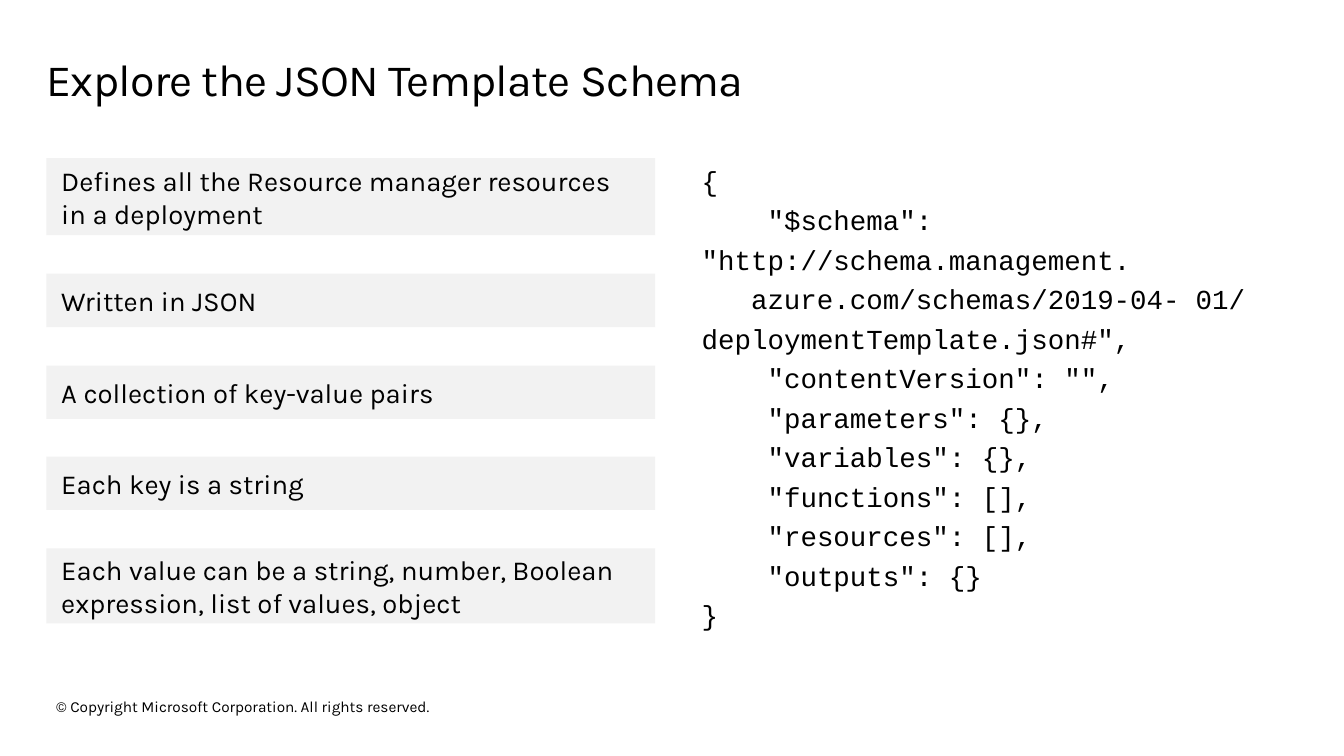
from pptx import Presentation
from pptx.dml.color import RGBColor
from pptx.enum.shapes import MSO_SHAPE
from pptx.enum.text import MSO_ANCHOR, MSO_AUTO_SIZE, PP_ALIGN
from pptx.util import Inches, Pt

TEXT_FONT, CODE_FONT = "Karla", "Courier New"
BLACK, WHITE, PALE_GREY = "000000", "FFFFFF", "F2F2F2"
LEFT = 0.47

# Statement, top and height of each bar
STATEMENTS = [
    ("Defines all the Resource manager resources in a deployment", 1.6, 0.78),
    ("Written in JSON", 2.77, 0.54),
    ("A collection of key-value pairs", 3.7, 0.54),
    ("Each key is a string", 4.62, 0.54),
    ("Each value can be a string, number, Boolean expression, list of values, object",
     5.55, 0.76),
]

# Tabs carry the long address over to the next line
SCHEMA_CODE = [
    '{',
    '    "$schema": \t"http://schema.management.',
    '\tazure.com/schemas/2019-04-\t01/deploymentTemplate.json#",',
    '    "contentVersion": "",',
    '    "parameters": {},',
    '    "variables": {},',
    '    "functions": [],',
    '    "resources": [],',
    '    "outputs": {}',
    '}',
]


def colour(value):
    return RGBColor.from_string(value)


def set_values(target, values):
    for name, value in values.items():
        setattr(target, name, value)


def write(box, lines, size, font=TEXT_FONT, spacing=1.0,
          insets=(0.1, 0.05, 0.1, 0.05), anchor=MSO_ANCHOR.TOP):
    """Fill a box with one paragraph per line; insets run left, top, right, bottom."""
    frame = box.text_frame
    left, top, right, bottom = map(Inches, insets)
    set_values(frame, {
        "word_wrap": True, "auto_size": MSO_AUTO_SIZE.NONE,
        "vertical_anchor": anchor, "margin_left": left, "margin_top": top,
        "margin_right": right, "margin_bottom": bottom,
    })
    for index, line in enumerate(lines):
        para = frame.paragraphs[0] if index == 0 else frame.add_paragraph()
        set_values(para, {"alignment": PP_ALIGN.LEFT, "line_spacing": spacing,
                          "space_before": Pt(0), "space_after": Pt(0)})
        span = para.add_run()
        span.text = line
        set_values(span.font, {"name": font, "size": Pt(size)})
        span.font.color.rgb = colour(BLACK)


def add_title(page, text):
    title = page.shapes.title
    set_values(title, {"left": Inches(LEFT), "top": Inches(0.49),
                       "width": Inches(12.65), "height": Inches(0.76)})
    write(title, [text], 32.6, spacing=0.9, insets=(0, 0.1, 0.16, 0.1))
    # Slightly tightened letters
    title.text_frame.paragraphs[0].runs[0].font._element.set("spc", "-50")


def add_panel(page, left, top, width, height, fill):
    panel = page.shapes.add_shape(MSO_SHAPE.RECTANGLE, Inches(left), Inches(top),
                                  Inches(width), Inches(height))
    panel.shadow.inherit = False
    panel.fill.solid()
    panel.fill.fore_color.rgb = colour(fill)
    panel.line.fill.background()
    return panel


def add_statement(page, text, top, height):
    bar = add_panel(page, LEFT, top, 6.16, height, PALE_GREY)
    write(bar, [text], 20, insets=(0.15, 0.1, 0.15, 0.1), anchor=MSO_ANCHOR.MIDDLE)


def add_code(page, lines):
    panel = add_panel(page, 6.8, 1.29, 6.33, 5.36, WHITE)
    write(panel, lines, 20, CODE_FONT, spacing=1.2, insets=(0.3, 0.3, 0.2, 0.16))


def add_footer(page, text):
    box = page.shapes.add_textbox(Inches(LEFT), Inches(7.01), Inches(6.8), Inches(0.3))
    write(box, [text], 11.2)


def main():
    deck = Presentation()
    set_values(deck, {"slide_width": Inches(13.6), "slide_height": Inches(7.65)})
    page = deck.slides.add_slide(deck.slide_layouts.get_by_name("Title Only"))
    page.background.fill.solid()
    page.background.fill.fore_color.rgb = colour(WHITE)

    # Heading, statements on the left, code on the right, footer
    add_title(page, "Explore the JSON Template Schema")
    for text, top, height in STATEMENTS:
        add_statement(page, text, top, height)
    add_code(page, SCHEMA_CODE)
    add_footer(page, "© Copyright Microsoft Corporation. All rights reserved.")
    deck.save("out.pptx")


if __name__ == "__main__":
    main()
